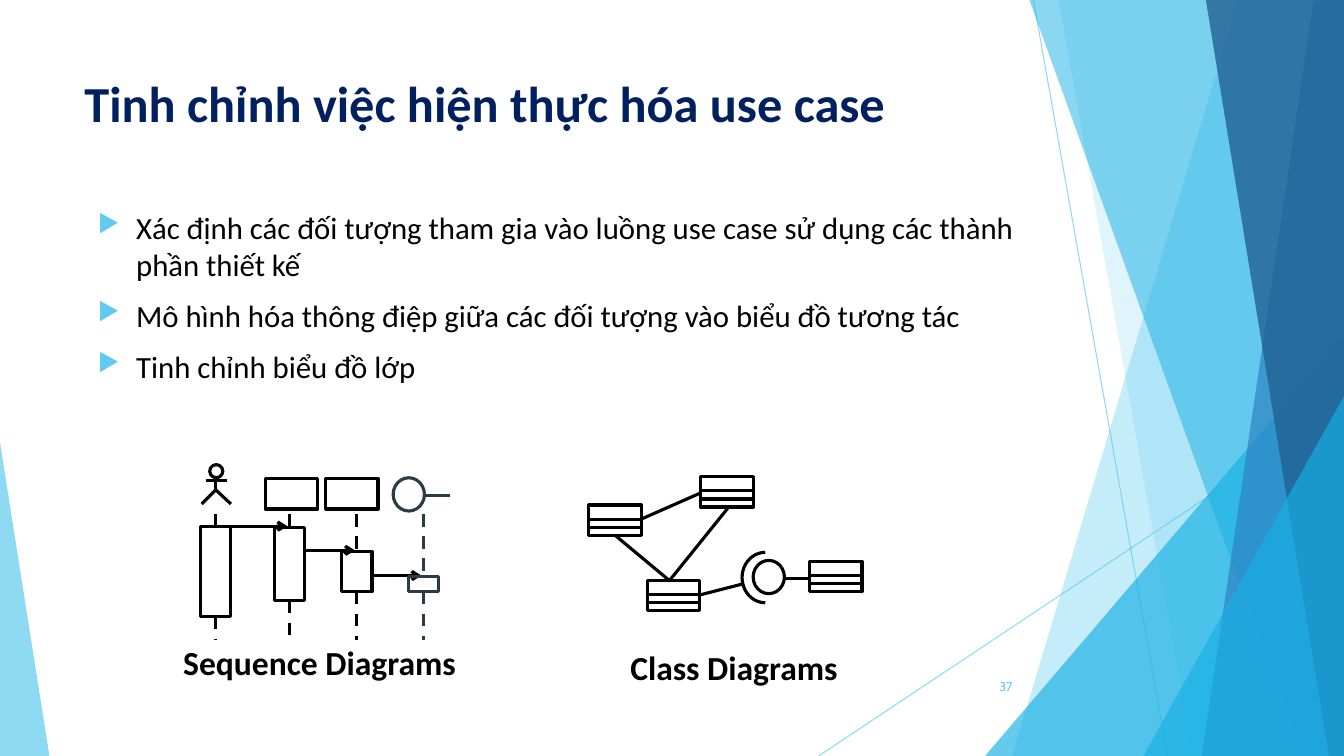
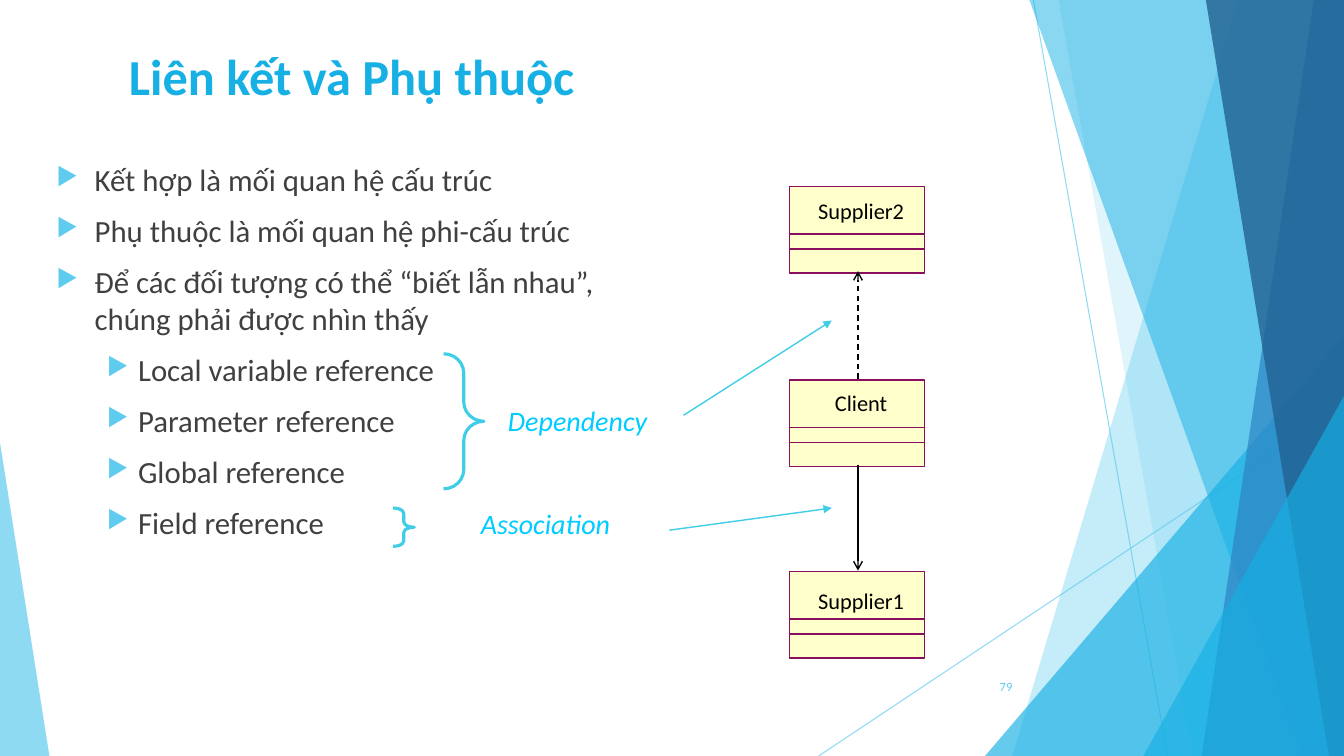
from dataclasses import dataclass
from itertools import pairwise

from pptx import Presentation
from pptx.dml.color import RGBColor
from pptx.enum.dml import MSO_LINE
from pptx.enum.shapes import MSO_CONNECTOR, MSO_SHAPE
from pptx.enum.text import MSO_ANCHOR, PP_ALIGN
from pptx.oxml.ns import qn
from pptx.util import Emu, Inches, Pt
from lxml.etree import SubElement

SLIDE_WIDTH, SLIDE_HEIGHT = Inches(40 / 3), Inches(7.5)
COLUMNS, ROWS = 13.33, 7.5


@dataclass(frozen=True)
class Theme:
    sky: str = "5FCBEF"
    azure: str = "17B0E4"
    blue: str = "2E83C3"
    deep: str = "226292"
    navy: str = "002060"
    black: str = "000000"
    gray: str = "404040"
    slate: str = "2C3C43"
    aqua: str = "3FCDE7"
    cyan: str = "00CCFF"
    cream: str = "FFFFCC"
    plum: str = "8A0E5E"
    font: str = "Calibri"
    number_font: str = "Cabin"
    title: int = 36
    caption: int = 24
    body: int = 22
    note: int = 20
    label: int = 16
    number: int = 9
    heavy: float = 2.25
    thin: float = 1
    hair: float = 0.75


THEME = Theme()


def column(count):
    return Emu(round(SLIDE_WIDTH * count / COLUMNS))


def row(count):
    return Emu(round(SLIDE_HEIGHT * count / ROWS))


def place(left, top, width, height):
    return column(left), row(top), column(width), row(height)


def fade(properties, share):
    """Give every colour in the shape properties an opacity."""
    for color in properties.iter(qn("a:srgbClr")):
        SubElement(color, qn("a:alpha"), val=str(round(share * 100000)))


def style_shape(shape, fill=None, line=None, weight=THEME.heavy, opacity=None):
    shape.shadow.inherit = False
    if fill:
        shape.fill.solid()
        shape.fill.fore_color.rgb = RGBColor.from_string(fill)
    else:
        shape.fill.background()
    if line:
        shape.line.color.rgb = RGBColor.from_string(line)
        shape.line.width = Pt(weight)
    else:
        shape.line.fill.background()
    if opacity:
        fade(shape.element.spPr, opacity)


def add_preset(page, kind, box, adjust=(), **style):
    shape = page.shapes.add_shape(kind, *place(*box))
    for index, value in enumerate(adjust):
        shape.adjustments[index] = value
    style_shape(shape, **style)


def add_outline(page, points, close=True, **style):
    (first, *rest) = [(column(x), row(y)) for x, y in points]
    builder = page.shapes.build_freeform(*first)
    builder.add_line_segments(rest, close=close)
    style_shape(builder.convert_to_shape(), **style)


def add_line(page, start, end, color=THEME.black, weight=THEME.heavy,
             dashed=False, head=None, opacity=None):
    link = page.shapes.add_connector(
        MSO_CONNECTOR.STRAIGHT, column(start[0]), row(start[1]),
        column(end[0]), row(end[1]))
    link.line.color.rgb = RGBColor.from_string(color)
    link.line.width = Pt(weight)
    if dashed:
        link.line.dash_style = MSO_LINE.DASH
    properties = link._element.spPr
    if head:
        SubElement(properties.find(qn("a:ln")), qn("a:tailEnd"), type=head)
    if opacity:
        fade(properties, opacity)
    SubElement(properties, qn("a:effectLst"))


def add_bullet(para, margin, hanging):
    properties = para._p.get_or_add_pPr()
    properties.set("marL", str(column(margin)))
    properties.set("indent", str(-column(hanging)))
    color = SubElement(properties, qn("a:buClr"))
    SubElement(color, qn("a:srgbClr"), val=THEME.sky)
    SubElement(properties, qn("a:buSzPct"), val="80000")
    SubElement(properties, qn("a:buChar"), char="▶")


def write_span(para, text, size, color=THEME.black, font=THEME.font,
               bold=False, italic=False):
    span = para.add_run()
    span.text = text
    span.font.name = font
    span.font.size = Pt(size)
    span.font.bold = bold
    span.font.italic = italic
    span.font.color.rgb = RGBColor.from_string(color)


def add_text(page, box, text, align=PP_ALIGN.LEFT, anchor=MSO_ANCHOR.TOP,
             wrap=True, fill=None, inset=None, **style):
    shape = page.shapes.add_textbox(*place(*box))
    frame = shape.text_frame
    frame.word_wrap = wrap
    frame.vertical_anchor = anchor
    if inset is not None:
        frame.margin_left = frame.margin_right = Inches(inset)
        frame.margin_top = frame.margin_bottom = Inches(inset)
    if fill:
        shape.fill.solid()
        shape.fill.fore_color.rgb = RGBColor.from_string(fill)
    para = frame.paragraphs[0]
    para.alignment = align
    write_span(para, text, **style)


def add_bullets(page, box, items, color):
    """Items are pairs of level and text."""
    frame = page.shapes.add_textbox(*place(*box)).text_frame
    frame.word_wrap = True
    frame.margin_left = frame.margin_right = Inches(0.12)
    indents = [(0.38, 0.38), (0.81, 0.31)]
    for index, (level, text) in enumerate(items):
        para = frame.add_paragraph() if index else frame.paragraphs[0]
        para.level = level
        add_bullet(para, *indents[level])
        if index:
            para.space_before = Pt(10)
        write_span(para, text, THEME.body, color)


def add_pane(page, top_x, bottom_x, fill, opacity):
    """Fill the right of the slide, from a slanted edge."""
    corners = [(top_x, 0), (COLUMNS, 0), (COLUMNS, ROWS), (bottom_x, ROWS)]
    add_outline(page, corners, fill=fill, opacity=opacity)


def add_corner(page, left, top, width, apex, fill, opacity):
    add_preset(page, MSO_SHAPE.ISOSCELES_TRIANGLE,
               (left, top, width, ROWS - top), [apex], fill=fill, opacity=opacity)


def add_backdrop(page):
    for start, end in [((10.25, 0), (11.58, ROWS)), ((COLUMNS, 4.03), (8.12, ROWS))]:
        add_line(page, start, end, THEME.sky, THEME.hair, opacity=0.7)
    add_pane(page, 12.28, 10.04, THEME.sky, 0.36)
    add_pane(page, 10.5, 11.83, THEME.sky, 0.2)
    add_corner(page, 9.77, 3.33, 3.56, 1, THEME.azure, 0.66)
    add_pane(page, 10.21, 12.91, THEME.azure, 0.5)
    add_pane(page, 13.03, 11.92, THEME.blue, 0.7)
    add_pane(page, 11.96, 13.18, THEME.deep, 0.8)
    add_corner(page, 11.34, 3.93, 1.99, 1, THEME.azure, 0.66)
    add_corner(page, 0, 4.39, 0.49, 0, THEME.sky, 0.7)


def add_page(deck, title, title_box, title_color, number, number_font=THEME.font):
    page = deck.slides.add_slide(deck.slide_layouts[6])
    add_backdrop(page)
    add_text(page, title_box, title, size=THEME.title, color=title_color, bold=True)
    add_text(page, (9.39, 6.61, 0.75, 0.4), number, align=PP_ALIGN.RIGHT,
             anchor=MSO_ANCHOR.MIDDLE, size=THEME.number, color=THEME.sky,
             font=number_font)
    return page


def add_class(page, left, top, width, height, dividers, line, weight, fill=None):
    add_preset(page, MSO_SHAPE.RECTANGLE, (left, top, width, height),
               fill=fill, line=line, weight=weight)
    for offset in dividers:
        add_line(page, (left, top + offset), (left + width, top + offset), line, weight)


def add_interface(page, left, top, color):
    add_preset(page, MSO_SHAPE.OVAL, (left, top, 0.31, 0.33), line=color)
    add_line(page, (left + 0.31, top + 0.18), (left + 0.56, top + 0.18), color)


def add_actor(page, x, top):
    add_preset(page, MSO_SHAPE.OVAL, (x - 0.06, top, 0.13, 0.13), line=THEME.black)
    add_line(page, (x, top + 0.13), (x, top + 0.25))
    add_line(page, (x - 0.1, top + 0.16), (x + 0.11, top + 0.16))
    legs = [(x - 0.14, top + 0.39), (x, top + 0.25), (x + 0.15, top + 0.39)]
    add_outline(page, legs, close=False, line=THEME.black)


def add_lifeline(page, x, bar_top, bar_height, color):
    bar_bottom = bar_top + bar_height
    add_line(page, (x, 5.1), (x, bar_top), color, dashed=True)
    add_preset(page, MSO_SHAPE.RECTANGLE, (x - 0.15, bar_top, 0.3, bar_height),
               line=color)
    add_line(page, (x, bar_bottom), (x, 6.35), color, dashed=True)


def draw_sequence(page):
    lifelines = [(2.14, 5.22, 0.9, THEME.black), (2.87, 5.23, 0.73, THEME.black),
                 (3.54, 5.47, 0.4, THEME.black), (4.2, 5.72, 0.15, THEME.slate)]
    add_actor(page, 2.14, 4.61)
    for left in (2.63, 3.23):
        add_preset(page, MSO_SHAPE.RECTANGLE, (left, 4.75, 0.52, 0.3), line=THEME.black)
    add_interface(page, 3.9, 4.74, THEME.slate)
    for sender, receiver in pairwise(lifelines):
        y = receiver[1] - 0.01
        add_line(page, (sender[0] + 0.15, y), (receiver[0] - 0.02, y), head="arrow")
    for lifeline in lifelines:
        add_lifeline(page, *lifeline)


def draw_classes(page):
    for left, top in [(5.84, 5.01), (6.95, 4.73), (6.42, 5.76), (8.03, 5.57)]:
        add_class(page, left, top, 0.52, 0.3, (0.14, 0.22), THEME.black, THEME.heavy)
    for start, end in [((6.64, 5.76), (6.1, 5.31)), ((6.36, 5.15), (6.95, 4.89)),
                       ((6.95, 5.9), (7.38, 5.79)), ((6.64, 5.76), (7.22, 5.04))]:
        add_line(page, start, end)
    add_interface(page, 7.47, 5.56, THEME.black)
    quarter_turns = (54, 162)  # 90 and 270 degrees
    add_preset(page, MSO_SHAPE.ARC, (7.36, 5.48, 0.46, 0.5), quarter_turns,
               line=THEME.black)


def build_refinement(deck):
    page = add_page(deck, "Tinh chỉnh việc hiện thực hóa use case",
                    (0.74, 0.67, 9.4, 1.44), THEME.navy, "37", THEME.number_font)
    add_bullets(page, (0.85, 2.02, 9.42, 2.05), [
        (0, "Xác định các đối tượng tham gia vào luồng use case sử dụng các thành "
            "phần thiết kế"),
        (0, "Mô hình hóa thông điệp giữa các đối tượng vào biểu đồ tương tác"),
        (0, "Tinh chỉnh biểu đồ lớp"),
    ], THEME.black)
    draw_sequence(page)
    draw_classes(page)
    for box, caption in [((1.7, 6.32, 2.94, 0.5), "Sequence Diagrams"),
                         ((6.14, 6.37, 2.28, 0.5), "Class Diagrams")]:
        add_text(page, box, caption, align=PP_ALIGN.CENTER, wrap=False,
                 size=THEME.caption, bold=True)


def build_relationships(deck):
    page = add_page(deck, "Liên kết và Phụ thuộc", (1.18, 0.4, 4.67, 0.71),
                    THEME.azure, "79")
    add_bullets(page, (0.44, 1.55, 6.16, 5.11), [
        (0, "Kết hợp là mối quan hệ cấu trúc"),
        (0, "Phụ thuộc là mối quan hệ phi-cấu trúc"),
        (0, "Để các đối tượng có thể “biết lẫn nhau”, chúng phải được nhìn thấy"),
        (1, "Local variable reference"),
        (1, "Parameter reference"),
        (1, "Global reference"),
        (1, "Field reference"),
    ], THEME.gray)
    for text, box, brace, bend, start, end in [
        ("Dependency", (4.94, 3.95, 1.89, 0.43), (4.4, 3.51, 0.4, 1.34), 0.48,
         (6.78, 4.12), (8.25, 3.18)),
        ("Association", (4.67, 4.98, 2.04, 0.43), (3.9, 5.04, 0.21, 0.38), 0.25,
         (6.64, 5.26), (8.25, 5.04)),
    ]:
        add_text(page, box, text, size=THEME.note, color=THEME.cyan, italic=True)
        add_preset(page, MSO_SHAPE.RIGHT_BRACE, brace, (bend, 0.5), line=THEME.aqua)
        add_line(page, start, end, THEME.aqua, THEME.thin, head="triangle")
    for name, top, label_top, label_width in [
        ("Supplier2", 1.85, 1.96, 0.86),
        ("Client", 3.77, 3.86, 0.52),
        ("Supplier1", 5.67, 5.82, 0.86),
    ]:
        add_class(page, 7.83, top, 1.34, 0.86, (0.47, 0.62), THEME.plum, THEME.thin,
                  THEME.cream)
        add_text(page, (8.54 - label_width / 2, label_top, label_width, 0.27), name,
                 align=PP_ALIGN.CENTER, wrap=False, fill=THEME.cream, inset=0,
                 size=THEME.label)
    for start_y, end_y, dashed in [(3.76, 2.69, True), (4.61, 5.66, False)]:
        add_line(page, (8.51, start_y), (8.51, end_y), weight=THEME.thin,
                 dashed=dashed, head="arrow")


def main():
    deck = Presentation()
    deck.slide_width, deck.slide_height = SLIDE_WIDTH, SLIDE_HEIGHT
    build_refinement(deck)
    build_relationships(deck)
    deck.save("out.pptx")


if __name__ == "__main__":
    main()
